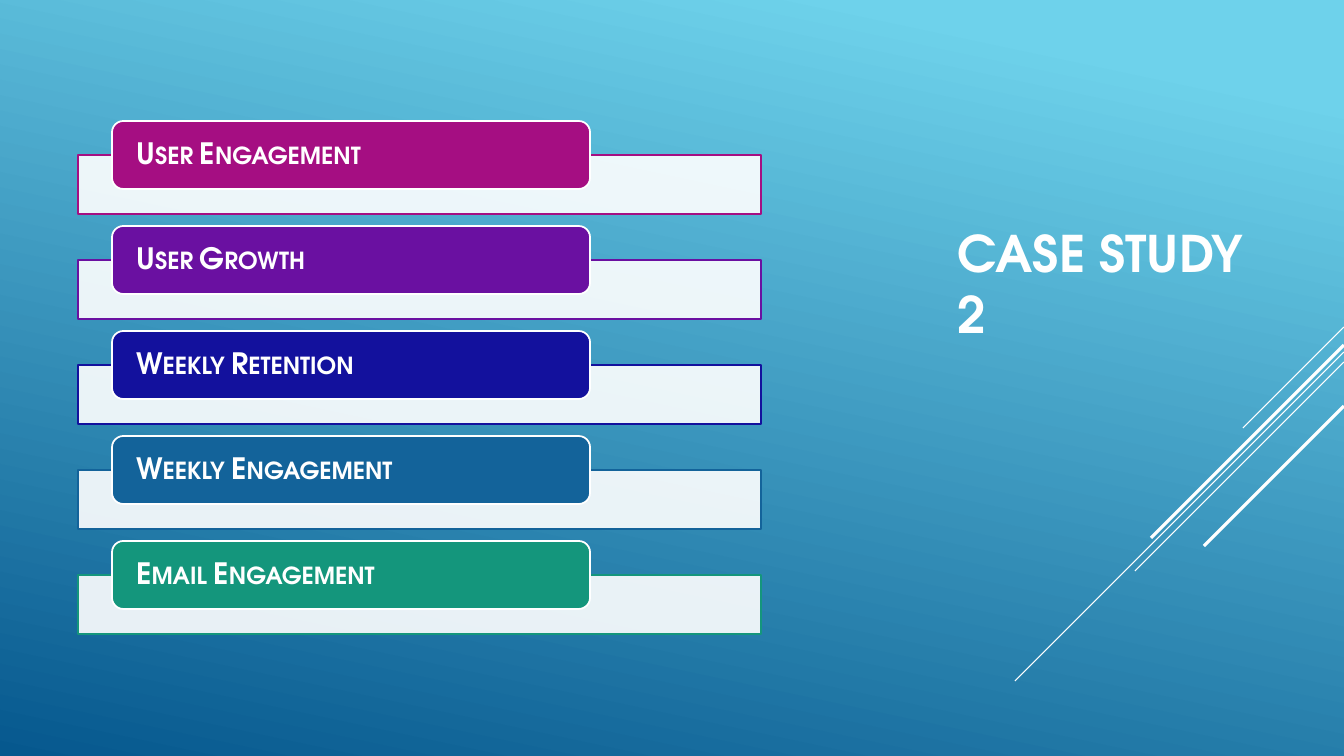
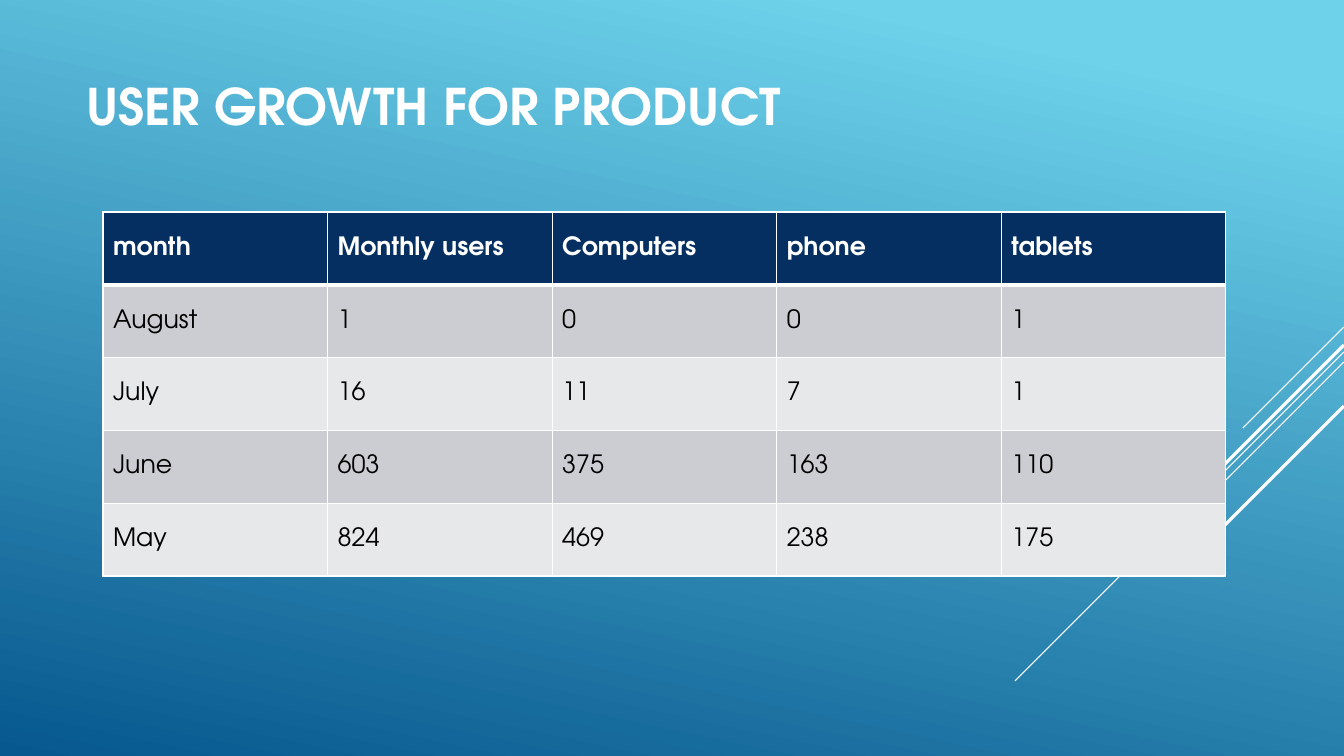
from lxml import etree
from pptx import Presentation
from pptx import util as u
from pptx.dml.color import RGBColor
from pptx.enum import shapes, text
from pptx.oxml import ns

EMU_PER_PX = 914400 / 100.8
SLIDE_WIDTH, SLIDE_HEIGHT = 1344, 756
FONT = "TeX Gyre Adventor"

WHITE = RGBColor(0xFF, 0xFF, 0xFF)
BLACK = RGBColor(0x00, 0x00, 0x00)
SKY = RGBColor(0x6E, 0xD2, 0xEB)
DEEP_BLUE = RGBColor(0x06, 0x58, 0x8E)
NAVY = RGBColor(0x05, 0x2F, 0x61)
DARK_BAND = RGBColor(0xCC, 0xCD, 0xD2)
LIGHT_BAND = RGBColor(0xE7, 0xE8, 0xEA)
MAGENTA = RGBColor(0xA5, 0x0E, 0x82)
PURPLE = RGBColor(0x6A, 0x10, 0xA1)
INDIGO = RGBColor(0x13, 0x11, 0x9D)
BLUE = RGBColor(0x13, 0x63, 0x9A)
GREEN = RGBColor(0x14, 0x96, 0x7C)

DIAGONALS = [(327, 101, 0.75), (352, 329, 0.75), (362, 209, 0.75),
             (345, 193, 2.25), (406, 140, 2.25)]
TOPICS = [("User Engagement", MAGENTA), ("User Growth", PURPLE),
          ("Weekly Retention", INDIGO), ("Weekly Engagement", BLUE),
          ("Email Engagement", GREEN)]
USERS = [("month", "Monthly users", "Computers", "phone", "tablets"),
         ("August", "1", "0", "0", "1"),
         ("July", "16", "11", "7", "1"),
         ("June", "603", "375", "163", "110"),
         ("May", "824", "469", "238", "175")]


def px(length):
    return u.Emu(round(length * EMU_PER_PX))


def add_child(parent, tag, **attributes):
    child = etree.SubElement(parent, ns.qn(tag))
    for name, value in attributes.items():
        child.set(name, str(value))
    return child


def write(frame, words, size=18, color=WHITE, bold=False, small_caps=False,
          shadow=False, line_spacing=None):
    paragraph = frame.paragraphs[0]
    paragraph.alignment = text.PP_ALIGN.LEFT
    paragraph.line_spacing = line_spacing
    run = paragraph.add_run()
    run.text = words
    font = run.font
    font.size, font.bold, font.name = u.Pt(size), bold, FONT
    font.color.rgb = color
    properties = run.font.fill and paragraph.runs[0]._r.get_or_add_rPr()
    if small_caps:
        properties.set("cap", "small")
    if shadow:
        effects = add_child(properties, "a:effectLst")
        outer = add_child(effects, "a:outerShdw", blurRad=38100, dist=25400, dir=2700000)
        tint = add_child(outer, "a:srgbClr", val=BLACK)
        add_child(tint, "a:alpha", val=40000)
        properties.find(ns.qn("a:latin")).addprevious(effects)


def style_background(master):
    fill = master.background.fill
    fill.gradient()
    fill.gradient_angle = 360 - 102
    for stop, position, color in zip(fill.gradient_stops, (0.1, 1), (SKY, DEEP_BLUE)):
        stop.position = position
        stop.color.rgb = color


def add_diagonals(slide):
    for top, run, width in DIAGONALS:
        line = slide.shapes.add_connector(
            shapes.MSO_CONNECTOR.STRAIGHT, px(SLIDE_WIDTH), px(top),
            px(SLIDE_WIDTH - run), px(top + run))
        line.line.color.rgb = WHITE
        line.line.width = u.Pt(width)
        add_child(line.element.spPr, "a:effectLst")


def add_slide(presentation, title, left, top, width, height, shadow=False):
    slide = presentation.slides.add_slide(presentation.slide_layouts[5])
    add_diagonals(slide)
    shape = slide.shapes.title
    shape.left, shape.top, shape.width, shape.height = map(px, (left, top, width, height))
    frame = shape.text_frame
    frame.auto_size = text.MSO_AUTO_SIZE.NONE
    frame.vertical_anchor = text.MSO_ANCHOR.MIDDLE
    write(frame, title, size=36, bold=True, shadow=shadow)
    return slide


def add_box(slide, kind, left, top, width, height, fill, outline):
    shape = slide.shapes.add_shape(kind, px(left), px(top), px(width), px(height))
    shape.shadow.inherit = False
    shape.fill.solid()
    shape.fill.fore_color.rgb = fill
    shape.line.color.rgb = outline
    shape.line.width = u.Pt(1.25)
    return shape


def add_topic(slide, name, color, left, top, width):
    panel = add_box(slide, shapes.MSO_SHAPE.RECTANGLE, left, top + 34, width, 59,
                    WHITE, color)
    panel_color = panel.element.spPr.find(ns.qn("a:solidFill"))[0]
    add_child(panel_color, "a:alpha", val=90000)
    label = add_box(slide, shapes.MSO_SHAPE.ROUNDED_RECTANGLE, left + 34, top,
                    width * 0.7, 68, color, WHITE)
    frame = label.text_frame
    frame.word_wrap = True
    frame.vertical_anchor = text.MSO_ANCHOR.MIDDLE
    frame.margin_left = frame.margin_right = px(21)
    frame.margin_top = frame.margin_bottom = 0
    write(frame, name, size=21, bold=True, small_caps=True, line_spacing=0.9)


def add_topic_list(slide, left, top, width, pitch):
    for index, (name, color) in enumerate(TOPICS):
        add_topic(slide, name, color, left, top + index * pitch, width)


def set_borders(cell, **widths):
    properties = cell._tc.get_or_add_tcPr()
    for index, side in enumerate("LRTB"):
        border = add_child(properties, f"a:ln{side}", w=u.Pt(widths.get(side, 1)))
        add_child(add_child(border, "a:solidFill"), "a:srgbClr", val=WHITE)
        properties.insert(index, border)


def add_user_table(slide, left, top, width, height):
    table = slide.shapes.add_table(len(USERS), len(USERS[0]), px(left), px(top),
                                   px(width), px(height)).table
    table.first_row = table.horz_banding = False
    for row_index, values in enumerate(USERS):
        header = row_index == 0
        band = NAVY if header else DARK_BAND if row_index % 2 else LIGHT_BAND
        widths = {0: {"B": 3}, 1: {"T": 3}}.get(row_index, {})
        for column_index, value in enumerate(values):
            cell = table.cell(row_index, column_index)
            cell.fill.solid()
            cell.fill.fore_color.rgb = band
            cell.vertical_anchor = text.MSO_ANCHOR.MIDDLE
            set_borders(cell, **widths)
            write(cell.text_frame, value, color=WHITE if header else BLACK, bold=header)


def build_case_study(presentation):
    slide = add_slide(presentation, "CASE STUDY 2", 947, 104, 336, 358, shadow=True)
    add_topic_list(slide, 78, 121, 683, 105)


def build_user_growth(presentation):
    slide = add_slide(presentation, "USER GROWTH FOR PRODUCT", 76, 22, 940, 166)
    add_user_table(slide, 103, 212, 1123, 364)


def main():
    presentation = Presentation()
    presentation.slide_width = px(SLIDE_WIDTH)
    presentation.slide_height = px(SLIDE_HEIGHT)
    style_background(presentation.slide_master)
    build_case_study(presentation)
    build_user_growth(presentation)
    presentation.save("out.pptx")


if __name__ == "__main__":
    main()
